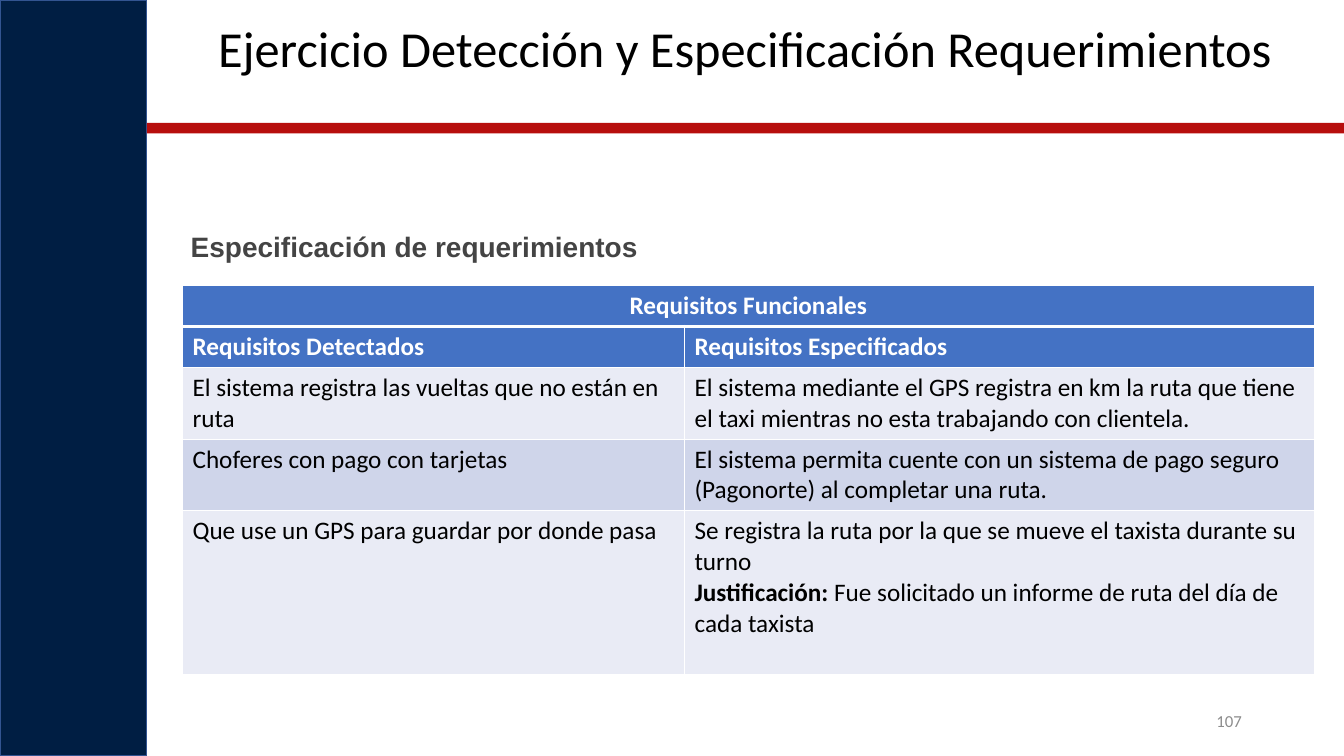
from lxml import etree
from pptx import Presentation
from pptx.dml.color import RGBColor
from pptx.enum import shapes, text
from pptx.oxml import ns
from pptx.util import Cm, Pt

NAVY = RGBColor(0x00, 0x1E, 0x43)
OUTLINE = RGBColor(0x32, 0x54, 0x91)
RED = RGBColor(0xB7, 0x0E, 0x0D)
BLUE = RGBColor(0x44, 0x72, 0xC4)
LIGHT = RGBColor(0xE9, 0xEB, 0xF5)
MEDIUM = RGBColor(0xCF, 0xD5, 0xEA)
WHITE = RGBColor(0xFF, 0xFF, 0xFF)
BLACK = RGBColor(0x00, 0x00, 0x00)
DARK_GRAY = RGBColor(0x44, 0x44, 0x44)
GRAY = RGBColor(0x8C, 0x8C, 0x8C)
ALIGN = text.PP_ALIGN


def write(para, content, size=18, color=BLACK, bold=False, font="Calibri",
          align=ALIGN.LEFT, spacing=1.0):
    para.alignment = align
    para.line_spacing = spacing
    span = para.add_run()
    span.text = content
    span.font.size = Pt(size)
    span.font.name = font
    span.font.bold = bold
    span.font.color.rgb = color


def add_borders(cell, top=1, bottom=1):
    props = cell._tc.get_or_add_tcPr()
    for side, width in (("L", 1), ("R", 1), ("T", top), ("B", bottom)):
        line = etree.SubElement(props, ns.qn(f"a:ln{side}"), w=str(Pt(width)))
        fill = etree.SubElement(line, ns.qn("a:solidFill"))
        etree.SubElement(fill, ns.qn("a:srgbClr"), val=str(WHITE))


deck = Presentation()
deck.slide_width, deck.slide_height = Cm(33.87), Cm(19.05)
page = deck.slides.add_slide(deck.slide_layouts[1])

# Side panel and red rule
for left, top, width, height, color in (
    (0, 0, 3.7, 19.05, NAVY),
    (3.7, 3.1, 30.17, 0.26, RED),
):
    bar = page.shapes.add_shape(shapes.MSO_SHAPE.RECTANGLE,
                                Cm(left), Cm(top), Cm(width), Cm(height))
    bar.shadow.inherit = False
    bar.fill.solid()
    bar.fill.fore_color.rgb = color
    if color == NAVY:
        bar.line.color.rgb = OUTLINE
        bar.line.width = Pt(1)
    else:
        bar.line.fill.background()

# Title, subtitle and page number
title, subtitle = page.placeholders
number = page.shapes.add_textbox(0, 0, 0, 0)
for box, left, top, width, height, anchor in (
    (title, 4.06, 0.48, 29.44, 2.16, text.MSO_ANCHOR.TOP),
    (subtitle, 4.55, 5.74, 28.6, 1.22, text.MSO_ANCHOR.TOP),
    (number, 23.93, 17.65, 7.62, 1.02, text.MSO_ANCHOR.MIDDLE),
):
    box.left, box.top, box.width, box.height = Cm(left), Cm(top), Cm(width), Cm(height)
    box.text_frame.word_wrap = True
    box.text_frame.auto_size = text.MSO_AUTO_SIZE.NONE
    box.text_frame.vertical_anchor = anchor

write(title.text_frame.paragraphs[0], "Ejercicio Detección y Especificación Requerimientos",
      size=36, align=ALIGN.CENTER, spacing=0.9)

para = subtitle.text_frame.paragraphs[0]
props = para._p.get_or_add_pPr()
props.set("marL", "0")
props.set("indent", "0")
etree.SubElement(props, ns.qn("a:buNone"))
para.space_before = Pt(0)
write(para, "Especificación de requerimientos", size=20, color=DARK_GRAY, bold=True,
      font="Arial", align=ALIGN.JUSTIFY, spacing=0.9)

write(number.text_frame.paragraphs[0], "107", size=12, color=GRAY, align=ALIGN.RIGHT)

# Requirements table
rows = (
    ("Requisitos Funcionales", ""),
    ("Requisitos Detectados", "Requisitos Especificados"),
    ("El sistema registra las vueltas que no están en ruta",
     "El sistema mediante el GPS registra en km la ruta que tiene el taxi "
     "mientras no esta trabajando con clientela."),
    ("Choferes con pago con tarjetas",
     "El sistema permita cuente con un sistema de pago seguro (Pagonorte) "
     "al completar una ruta."),
    ("Que use un GPS para guardar por donde pasa",
     "Se registra la ruta por la que se mueve el taxista durante su turno"),
)
row_heights = (1.03, 1.03, 1.8, 1.8, 4.13)
row_fills = (BLUE, BLUE, LIGHT, MEDIUM, LIGHT)
table = page.shapes.add_table(len(rows), 2, Cm(4.6), Cm(7.2),
                              Cm(28.52), Cm(sum(row_heights))).table
table.first_row = table.horz_banding = False
table.columns[0].width, table.columns[1].width = Cm(12.65), Cm(15.87)
table.cell(0, 0).merge(table.cell(0, 1))

for r, row in enumerate(rows):
    table.rows[r].height = Cm(row_heights[r])
    header = r < 2
    for c, content in enumerate(row):
        cell = table.cell(r, c)
        add_borders(cell, top=3 if r == 1 else 1, bottom=3 if r == 0 else 1)
        cell.fill.solid()
        cell.fill.fore_color.rgb = row_fills[r]
        if content:
            write(cell.text_frame.paragraphs[0], content, bold=header,
                  color=WHITE if header else BLACK,
                  align=ALIGN.CENTER if r == 0 else ALIGN.LEFT)

# Justification in the last cell
para = table.cell(4, 1).text_frame.add_paragraph()
write(para, "Justificación:", bold=True)
write(para, " Fue solicitado un informe de ruta del día de cada taxista")

deck.save("out.pptx")
